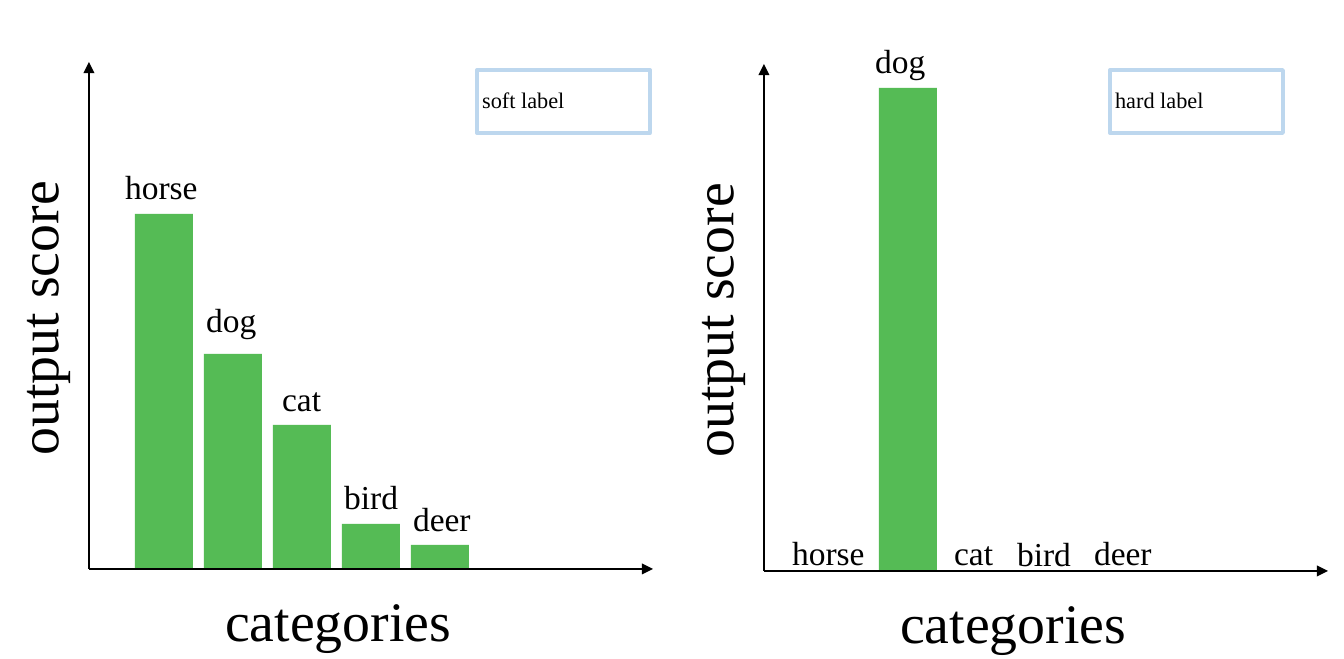
from lxml import etree
from pptx import Presentation
from pptx.dml.color import RGBColor
from pptx.enum.shapes import MSO_CONNECTOR as Link, MSO_SHAPE as Kind
from pptx.oxml.ns import qn
from pptx.util import Pt

PX = 6829
WIDE, HIGH = 1344, 659
FONT = "Times New Roman"
GREEN, BLUE, BLACK = "55BB55", "BDD7EE", "000000"
BAR, STEP, INSET = 58, 69, 46
AXIS_X, AXIS_Y = 564, 507
NAME_W, NAME_H = 339, 94

# name, bar height, label left and top
PANELS = [
    {"origin": (89, 569), "legend": ("soft label", 477), "bars": [
        ("horse", 355, 112, 159), ("dog", 215, 193, 292),
        ("cat", 144, 269, 371), ("bird", 45, 331, 469),
        ("deer", 24, 400, 491)]},
    {"origin": (764, 571), "legend": ("hard label", 1110), "bars": [
        ("horse", 0, 779, 525), ("dog", 483, 862, 33),
        ("cat", 0, 941, 525), ("bird", 0, 1004, 526),
        ("deer", 0, 1081, 525)]},
]


def px(*nums):
    return [round(n * PX) for n in nums]


def rgb(tint):
    return RGBColor.from_string(tint)


def rect(x, y, w, h, fill=None, line=None):
    box = slide.shapes.add_shape(Kind.RECTANGLE, *px(x, y, w, h))
    box.shadow.inherit = False
    if fill:
        box.fill.solid()
        box.fill.fore_color.rgb = rgb(fill)
    else:
        box.fill.background()
    if line:
        box.line.color.rgb = rgb(line)
        box.line.width = Pt(2)
    else:
        box.line.fill.background()


def text(words, x, y, w, h, size, turn=0):
    box = slide.shapes.add_textbox(*px(x, y, w, h))
    box.rotation = turn
    frame = box.text_frame
    frame.word_wrap = True
    para = frame.paragraphs[0]
    para.text = words
    para.font.name = FONT
    para.font.size = Pt(size)
    para.font.color.rgb = rgb(BLACK)


def arrow(x, y, dx, dy):
    link = slide.shapes.add_connector(
        Link.STRAIGHT, *px(x, y, x + dx, y + dy))
    link.line.color.rgb = rgb(BLACK)
    link.line.width = Pt(1.5)
    props = link._element.spPr
    etree.SubElement(props.find(qn("a:ln")), qn("a:tailEnd"), type="triangle")
    etree.SubElement(props, qn("a:effectLst"))


def panel(origin, legend, bars):
    x, y = origin
    for i, (name, tall, left, top) in enumerate(bars):
        if tall:
            rect(x + INSET + i * STEP, y - tall, BAR, tall, fill=GREEN)
        text(name, left, top, 142, 54, 18)
    arrow(x, y, 0, -AXIS_Y)
    arrow(x, y, AXIS_X, 0)
    text("output score", x - 46 - NAME_W / 2, y - 270 - NAME_H / 2,
         NAME_W, NAME_H, 30, 270)
    text("categories", x + 123, y + 10, NAME_W, NAME_H, 30)
    label, left = legend
    rect(left, 70, 173, 63, line=BLUE)
    text(label, left - 8, 80, 122, 40, 12)


deck = Presentation()
deck.slide_width, deck.slide_height = px(WIDE, HIGH)
slide = deck.slides.add_slide(deck.slide_layouts[6])
for part in PANELS:
    panel(**part)
deck.save("out.pptx")
